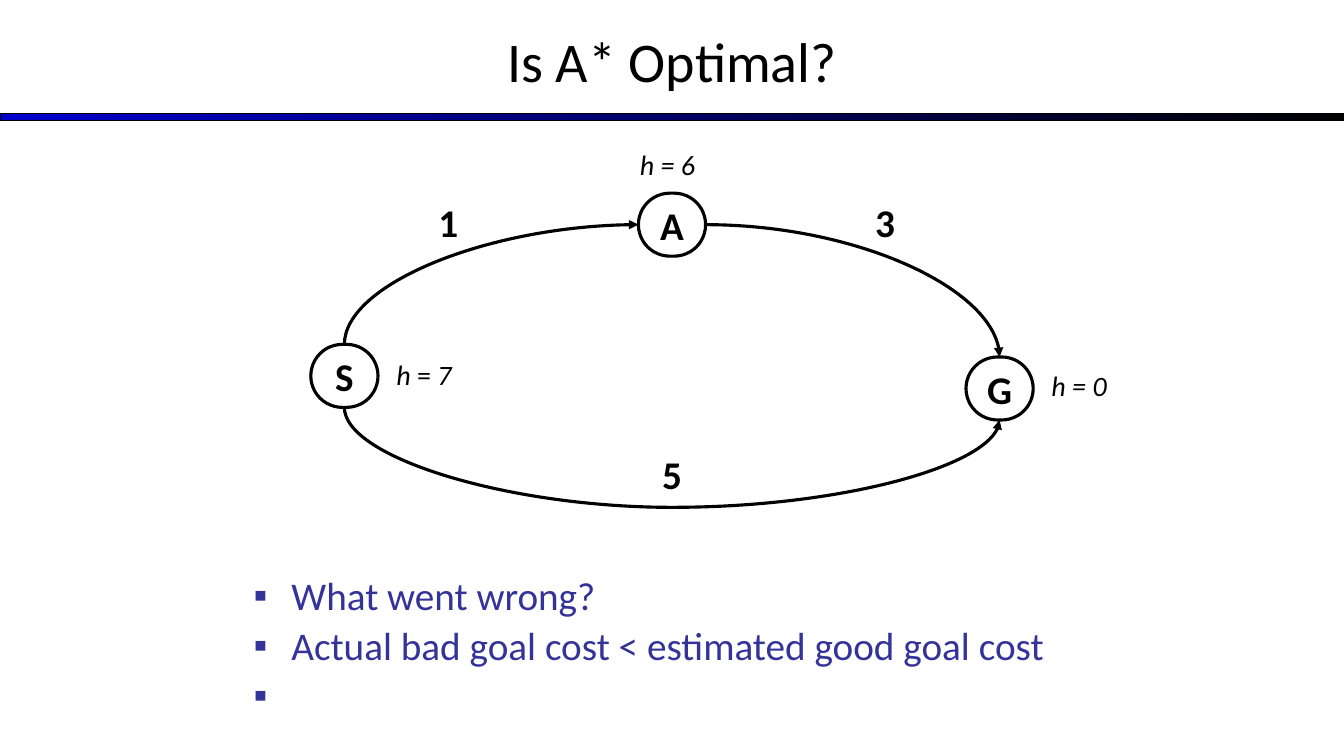
from dataclasses import dataclass

from lxml import etree
from pptx import Presentation
from pptx.dml.color import RGBColor
from pptx.enum.shapes import MSO_CONNECTOR, MSO_SHAPE
from pptx.enum.text import MSO_ANCHOR, MSO_AUTO_SIZE, PP_ALIGN
from pptx.oxml.ns import qn
from pptx.util import Emu, Pt

CURVE = MSO_CONNECTOR.CURVE
RECT, ROUND = MSO_SHAPE.RECTANGLE, MSO_SHAPE.ROUNDED_RECTANGLE
TOP, MIDDLE = MSO_ANCHOR.TOP, MSO_ANCHOR.MIDDLE
FIXED = MSO_AUTO_SIZE.NONE
LEFT, CENTER = PP_ALIGN.LEFT, PP_ALIGN.CENTER
NORTH, WEST, SOUTH, EAST = range(4)  # connection sites of a node
SCALE = 9525  # EMU in one px


@dataclass(frozen=True)
class Theme:
    font: str = "Calibri"
    ink: str = "000000"
    list: str = "333399"
    bar: str = "0000CC"
    title: int = 40
    body: int = 28
    note: int = 20
    thin: float = 0.75
    line: float = 2.25


def px(*sizes):
    return [Emu(size * SCALE) for size in sizes]


def rgb(code):
    return RGBColor.from_string(code)


def add(parent, tag, **attrs):
    return etree.SubElement(parent, qn(tag), attrs)


def bullet(para, color, indent):
    props = para._p.get_or_add_pPr()
    props.set("marL", str(indent * SCALE))
    props.set("indent", str(-indent * SCALE))
    add(add(props, "a:buClr"), "a:srgbClr", val=color)
    add(props, "a:buFont", typeface="Arial")
    add(props, "a:buChar", char="▪")


def write(frame, lines, *, theme, size, color=None, bold=False, italic=False,
          align=LEFT, anchor=TOP, wrap=True, mark=False):
    """Fill a frame; a line given as a tuple has every second run upright."""
    frame.auto_size, frame.word_wrap = FIXED, wrap
    frame.vertical_anchor = anchor
    color = color or theme.ink
    for i, line in enumerate(lines):
        para = frame.paragraphs[0] if i == 0 else frame.add_paragraph()
        para.alignment = align
        para.space_before = Pt(5.6 if i else 0)
        if mark:
            para.line_spacing = 0.9
            bullet(para, color, 36)
        for j, part in enumerate(line if isinstance(line, tuple) else [line]):
            run = para.add_run()
            run.text = part
            font = run.font
            font.name, font.size = theme.font, Pt(size)
            font.bold, font.italic = bold, italic and j % 2 == 0
            font.color.rgb = rgb(color)


class Board:
    def __init__(self, deck, theme):
        self.theme = theme
        self.slide = deck.slides.add_slide(deck.slide_layouts[1])
        self.shapes = self.slide.shapes

    def holder(self, index, box, lines, **form):
        item = self.slide.placeholders[index]
        item.left, item.top, item.width, item.height = px(*box)
        write(item.text_frame, lines, theme=self.theme, **form)

    def label(self, box, line, **form):
        item = self.shapes.add_textbox(*px(*box))
        write(item.text_frame, [line], theme=self.theme, **form)

    def shape(self, kind, box, width):
        item = self.shapes.add_shape(kind, *px(*box))
        item.shadow.inherit = False
        item.line.color.rgb = rgb(self.theme.ink)
        item.line.width = Pt(width)
        return item

    def bar(self, box):
        fill = self.shape(RECT, box, self.theme.thin).fill
        fill.gradient()
        fill.gradient_angle = 0
        for i, color in enumerate((self.theme.bar, self.theme.ink)):
            stop = fill.gradient_stops[i]
            stop.position, stop.color.rgb = i, rgb(color)

    def node(self, left, top, name):
        item = self.shape(ROUND, (left, top, 64, 60), self.theme.line)
        item.adjustments[0] = 0.5
        item.fill.background()
        write(item.text_frame, [name], theme=self.theme, size=self.theme.body,
              bold=True, align=CENTER, anchor=MIDDLE, wrap=False)
        return item

    def arc(self, start, out, end, into, kind, turn=0, flips=(), bend=None):
        """Join two nodes by a curved arrow, turned by whole quarters."""
        link = self.shapes.add_connector(CURVE, 0, 0, 0, 0)
        link.begin_connect(start, out)
        link.end_connect(end, into)
        wide, high = link.width, link.height
        mid, level = link.left + wide // 2, link.top + high // 2
        if turn % 180:
            wide, high = high, wide
        link.left, link.top = mid - wide // 2, level - high // 2
        link.width, link.height = wide, high

        props = link._element.spPr
        frame = props.find(qn("a:xfrm"))
        frame.set("rot", str(turn * 60000))
        for flip in ("flipH", "flipV"):
            frame.set(flip, str(int(flip in flips)))
        form = props.find(qn("a:prstGeom"))
        form.set("prst", kind)
        if bend:
            add(form.find(qn("a:avLst")), "a:gd", name="adj1",
                fmla=f"val {bend}")
        link.line.color.rgb = rgb(self.theme.ink)
        link.line.width = Pt(self.theme.line)
        add(link.line._get_or_add_ln(), "a:tailEnd", type="triangle")
        add(props, "a:effectLst")


def main():
    deck = Presentation()
    deck.slide_width, deck.slide_height = px(1280, 720)
    theme = Theme()
    board = Board(deck, theme)

    board.bar((0, 108, 1280, 7))
    board.holder(0, (0, -3, 1280, 120), ["Is A* Optimal?"], size=theme.title,
                 align=CENTER, anchor=MIDDLE)
    board.holder(1, (232, 544, 1005, 99), [
        "What went wrong?",
        "Actual bad goal cost < estimated good goal cost",
        " ",
    ], size=theme.body, color=theme.list, mark=True)

    mid = board.node(608, 184, "A")
    goal = board.node(920, 340, "G")
    start = board.node(296, 328, "S")

    for box, cost, align in (
        ((408, 184, 48, 55), "1", LEFT),
        ((824, 184, 48, 55), "3", LEFT),
        ((0, 424, 1280, 55), "5", CENTER),
    ):
        board.label(box, cost, size=theme.body, bold=True, align=align)
    for box, guess in (
        ((600, 136, 96, 41), "h = 6"),
        ((992, 346, 96, 41), "h = 0"),
        ((368, 336, 80, 74), ("h", " = ", "7")),
    ):
        board.label(box, guess, size=theme.note, italic=True)

    board.arc(start, SOUTH, goal, SOUTH, "curvedConnector3", 270, ("flipH",),
              bend=792300)
    board.arc(start, NORTH, mid, WEST, "curvedConnector2", 90,
              ("flipH", "flipV"))
    board.arc(mid, EAST, goal, NORTH, "curvedConnector2")
    deck.save("out.pptx")


if __name__ == "__main__":
    main()
